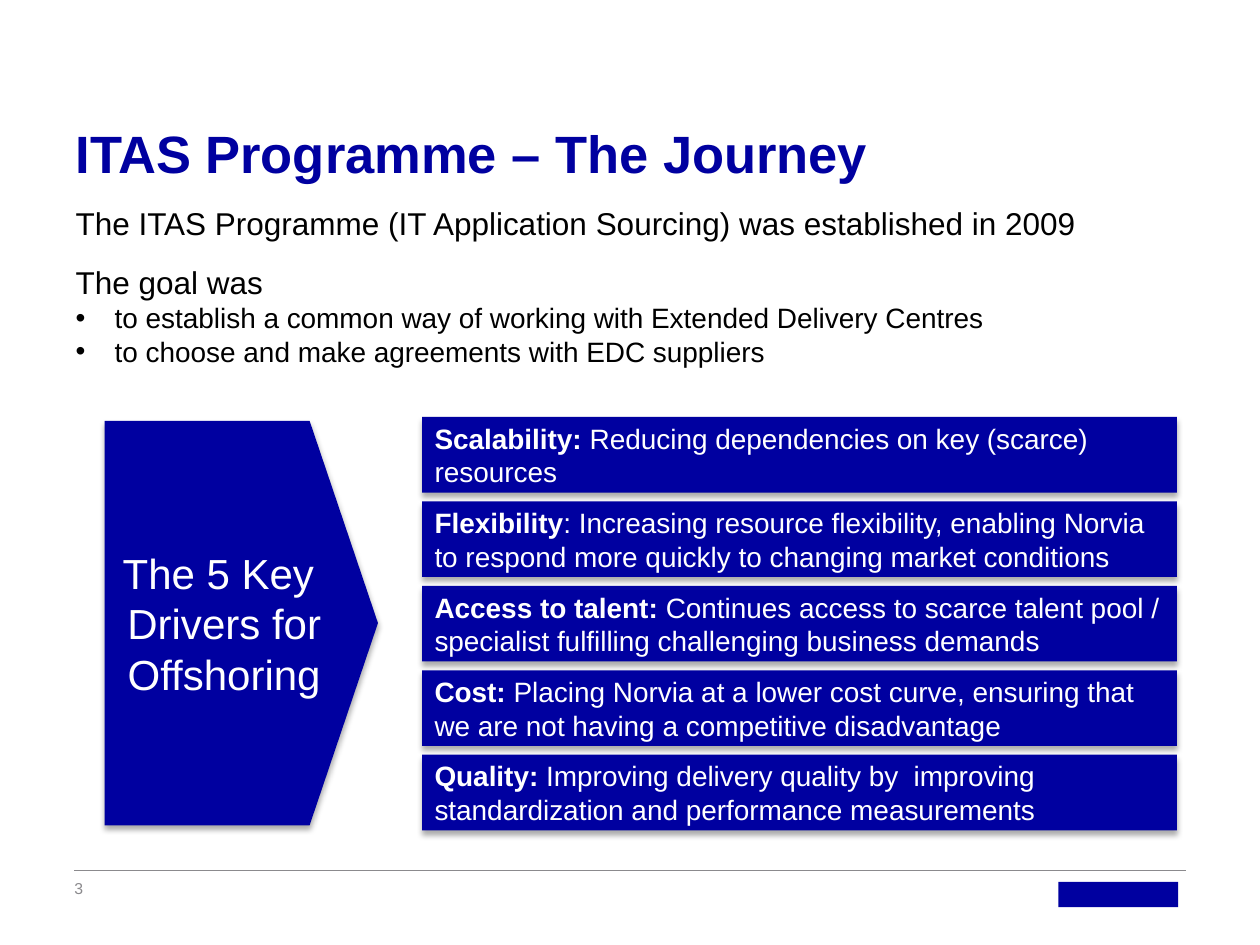
from lxml.etree import SubElement
from pptx import Presentation
from pptx.dml.color import RGBColor
from pptx.enum.shapes import MSO_CONNECTOR, MSO_SHAPE
from pptx.enum.text import MSO_ANCHOR, PP_ALIGN
from pptx.oxml.ns import qn
from pptx.util import Inches, Pt

COLORS = {"blue": "0000A0", "grey": "8B8A8D", "black": "000000", "white": "FFFFFF"}

GOALS = [
    "to establish a common way of working with Extended Delivery Centres",
    "to choose and make agreements with EDC suppliers",
]

DRIVERS = [
    ("Scalability: ", "Reducing dependencies on key (scarce) resources"),
    ("Flexibility", ": Increasing resource flexibility, enabling Norvia "
     "to respond more quickly to changing market conditions"),
    ("Access to talent: ", "Continues access to scarce talent pool / "
     "specialist fulfilling challenging business demands"),
    ("Cost: ", "Placing Norvia at a lower cost curve, ensuring that "
     "we are not having a competitive disadvantage"),
    ("Quality: ", "Improving delivery quality by  improving "
     "standardization and performance measurements"),
]


def apply(target, values):
    for attribute, value in values.items():
        setattr(target, attribute, value)


class SlideBuilder:
    font_name = "Arial"

    def __init__(self, slide):
        self.slide = slide

    def color(self, key):
        return RGBColor.from_string(COLORS[key])

    def run(self, paragraph, text, size, color, bold=False):
        run = paragraph.add_run()
        run.text = text
        apply(run.font, {"name": self.font_name, "size": Pt(size), "bold": bold})
        run.font.color.rgb = self.color(color)

    def text_frame(self, box, anchor):
        frame = self.slide.shapes.add_textbox(*map(Inches, box)).text_frame
        apply(frame, {
            "word_wrap": True, "vertical_anchor": anchor,
            "margin_left": 0, "margin_right": 0, "margin_top": 0, "margin_bottom": 0,
        })
        return frame

    def label(self, box, text, size, color, anchor, bold=False):
        frame = self.text_frame(box, anchor)
        self.run(frame.paragraphs[0], text, size, color, bold)

    def bullet(self, paragraph, indent):
        properties = paragraph._p.get_or_add_pPr()
        properties.set("marL", str(Inches(indent)))
        properties.set("indent", str(-Inches(indent)))
        SubElement(properties, qn("a:buFont"), typeface=self.font_name)
        SubElement(properties, qn("a:buChar"), char="•")

    def introduction(self, box, statements, goals):
        frame = self.text_frame(box, MSO_ANCHOR.TOP)
        paragraph = frame.paragraphs[0]
        for index, text in enumerate(statements + goals):
            if index:
                paragraph = frame.add_paragraph()
            if index < len(statements):
                paragraph.space_before = Pt(12)
                self.run(paragraph, text, 18, "black")
            else:
                self.bullet(paragraph, 0.31)
                self.run(paragraph, text, 16, "black")

    def block(self, kind, box):
        block = self.slide.shapes.add_shape(kind, *map(Inches, box))
        block.shadow.inherit = False
        block.fill.solid()
        block.fill.fore_color.rgb = self.color("blue")
        block.line.fill.background()
        return block

    def drop_shadow(self, block):
        effects = block._element.spPr.find(qn("a:effectLst"))
        shadow = SubElement(
            effects, qn("a:outerShdw"), blurRad=str(Pt(3.5)), dist=str(Pt(2.2)),
            dir="5400000", rotWithShape="0")
        tint = SubElement(shadow, qn("a:srgbClr"), val=COLORS["black"])
        SubElement(tint, qn("a:alpha"), val="32000")

    def heading_arrow(self, box, lines):
        arrow = self.block(MSO_SHAPE.PENTAGON, box)
        arrow.adjustments[0] = 0.25
        self.drop_shadow(arrow)
        apply(arrow.text_frame, {"word_wrap": False, "vertical_anchor": MSO_ANCHOR.MIDDLE})
        heading = arrow.text_frame.paragraphs[0]
        heading.alignment = PP_ALIGN.CENTER
        for index, line in enumerate(lines):
            if index:
                heading.add_line_break()
            self.run(heading, line, 24, "white")

    def driver(self, box, term, explanation):
        bar = self.block(MSO_SHAPE.RECTANGLE, box)
        self.drop_shadow(bar)
        apply(bar.text_frame, {"word_wrap": True, "vertical_anchor": MSO_ANCHOR.MIDDLE})
        statement = bar.text_frame.paragraphs[0]
        statement.alignment = PP_ALIGN.LEFT
        self.run(statement, term, 16, "white", bold=True)
        self.run(statement, explanation, 16, "white")

    def rule(self, left, right, top):
        rule = self.slide.shapes.add_connector(
            MSO_CONNECTOR.STRAIGHT, *map(Inches, (left, top, right, top)))
        rule.line.color.rgb = self.color("grey")
        rule.line.width = Pt(0.5)
        SubElement(rule._element.spPr, qn("a:effectLst"))


def main():
    presentation = Presentation()
    apply(presentation, {"slide_width": Inches(10), "slide_height": Inches(7.5)})
    builder = SlideBuilder(presentation.slides.add_slide(presentation.slide_layouts[6]))

    builder.rule(0.59, 9.41, 6.91)
    builder.block(MSO_SHAPE.RECTANGLE, (8.4, 7, 0.95, 0.2))
    builder.label((0.6, 0.43, 7.35, 1.03), "ITAS Programme – The Journey",
                  30, "blue", MSO_ANCHOR.BOTTOM, bold=True)
    builder.label((0.59, 6.97, 0.35, 0.16), "3", 9, "grey", MSO_ANCHOR.MIDDLE)
    builder.introduction(
        (0.6, 1.62, 8.82, 0.39),
        ["The ITAS Programme (IT Application Sourcing) was established in 2009",
         "The goal was"],
        GOALS)
    builder.heading_arrow((0.83, 3.34, 2.17, 3.21),
                          ["The 5 Key ", "Drivers for", "Offshoring"])
    for row, (term, explanation) in enumerate(DRIVERS):
        builder.driver((3.35, 3.31 + 0.67 * row, 5.99, 0.6), term, explanation)

    presentation.save("out.pptx")


if __name__ == "__main__":
    main()
